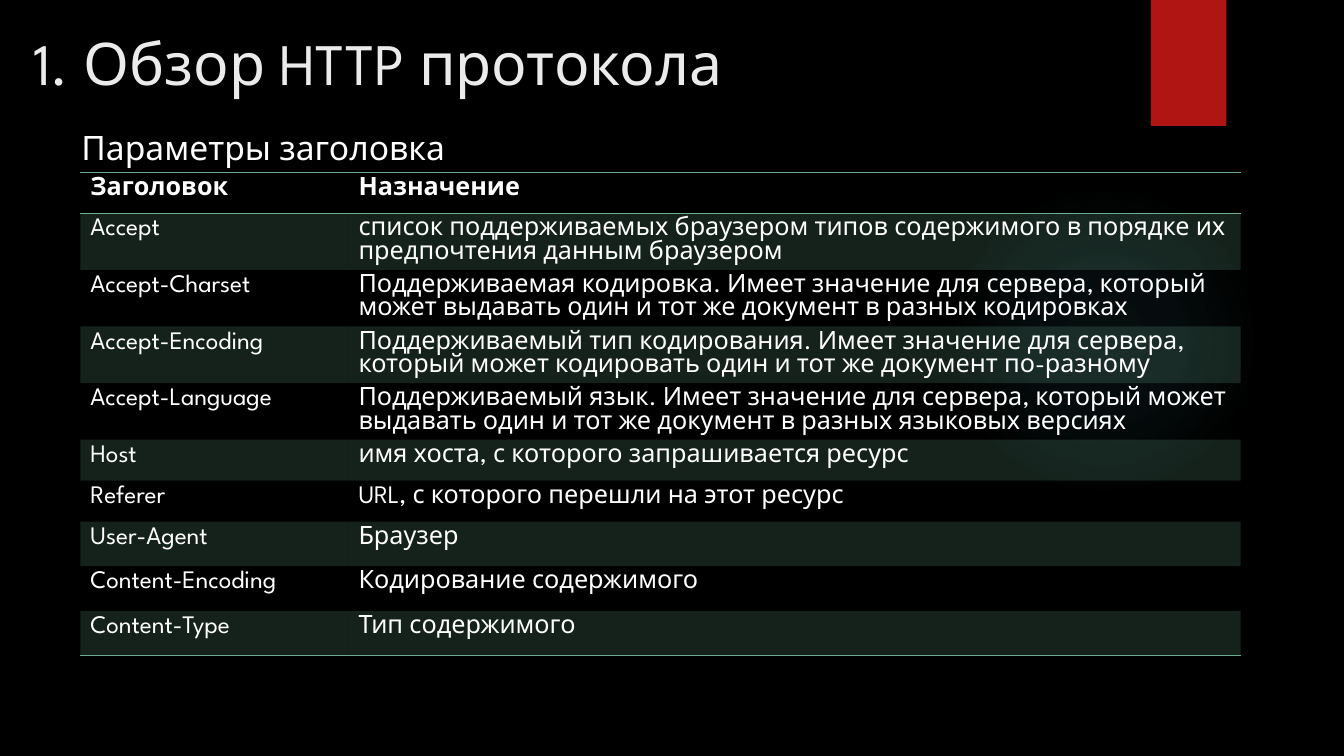
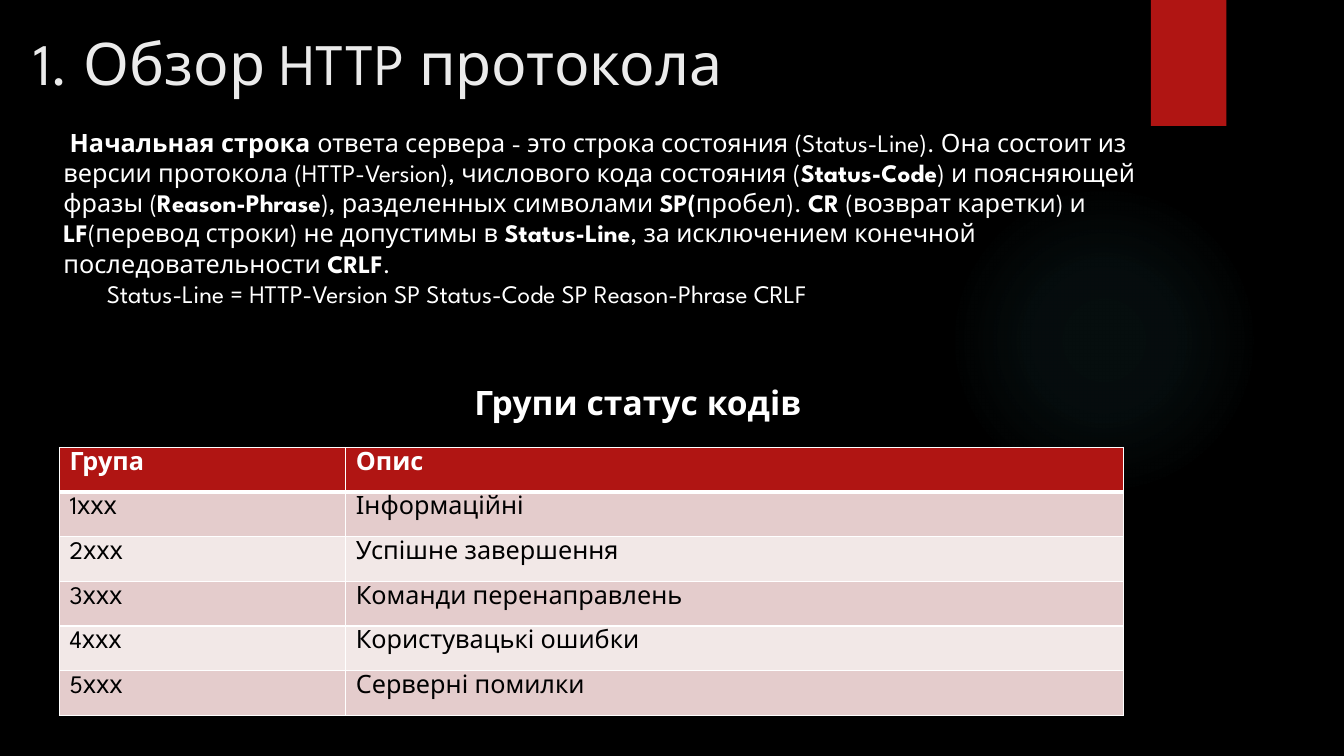
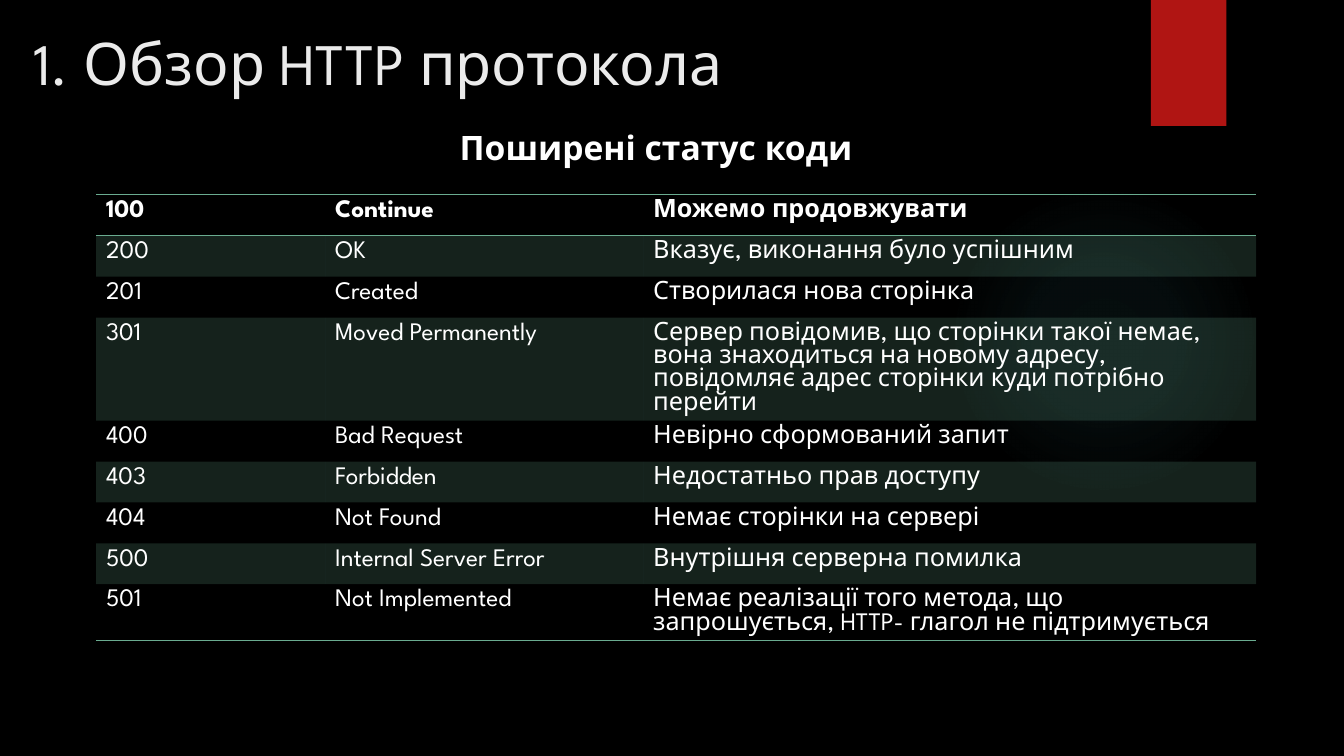
from lxml.etree import SubElement
from pptx import Presentation
from pptx.dml.color import RGBColor
from pptx.enum.shapes import MSO_SHAPE
from pptx.enum.text import PP_ALIGN
from pptx.oxml import parse_xml
from pptx.oxml.ns import nsdecls, qn
from pptx.util import Pt

FONT = "League Spartan"
BLACK, WHITE, PALE = "000000", "FFFFFF", "EBEBEB"
RED, GREEN, GLOW = "B01513", "6AAC90", "50B9C1"
ROSE, BLUSH = "E4CCCC", "F2E8E7"
TITLE = "1. Обзор HTTP протокола"
PLAIN = "{2D5ABB26-0587-4C30-8999-92F81FD0307C}"


def tint(hue):
    """Turn a hex string into a colour."""
    return RGBColor.from_string(hue)


def write(frame, text, size=18, hue=WHITE, bold=False, align=PP_ALIGN.LEFT,
          space=None, indents=()):
    """Fill a frame, one paragraph a line, with ** switching bold."""
    frame.word_wrap = True
    for num, line in enumerate(text.split("\n")):
        para = frame.add_paragraph() if num else frame.paragraphs[0]
        para.alignment = align
        para.line_spacing = space
        if indents:
            para._p.get_or_add_pPr().set("indent", str(Pt(indents[num])))
        for part, words in enumerate(line.split("**")):
            if words:
                run = para.add_run()
                run.text = words
                run.font.name = FONT
                run.font.size = Pt(size)
                run.font.bold = bold or part % 2 == 1
                run.font.color.rgb = tint(hue)


def label(slide, box, text, **form):
    """Place a text box."""
    write(slide.shapes.add_textbox(*map(Pt, box)).text_frame, text, **form)


def block(slide, kind, box, hue):
    """Place a filled shape without an outline."""
    shape = slide.shapes.add_shape(kind, *map(Pt, box))
    shape.shadow.inherit = False
    shape.fill.solid()
    shape.fill.fore_color.rgb = tint(hue)
    shape.line.fill.background()
    return shape


def glow(slide, box):
    """Place a soft round light."""
    shape = block(slide, MSO_SHAPE.OVAL, box, GLOW)
    stops = "".join(
        f'<a:gs pos="{pos * 1000}"><a:srgbClr val="{GLOW}">'
        f'<a:alpha val="{alpha * 1000}"/></a:srgbClr></a:gs>'
        for pos, alpha in ((0, 7), (36, 6), (69, 0), (100, 0)))
    grad = parse_xml(
        f'<a:gradFill {nsdecls("a")}><a:gsLst>{stops}</a:gsLst>'
        '<a:path path="circle"><a:fillToRect l="50000" t="50000" '
        'r="50000" b="50000"/></a:path></a:gradFill>')
    props = shape._element.spPr
    props.replace(props.find(qn("a:solidFill")), grad)


def base(deck):
    """Add a slide with the shared backdrop, tab and title."""
    slide = deck.slides.add_slide(deck.slide_layouts[6])
    slide.background.fill.solid()
    slide.background.fill.fore_color.rgb = tint(BLACK)
    glow(slide, (677.5, 131.8, 221.8, 221.8))
    block(slide, MSO_SHAPE.RECTANGLE, (822, 0, 54, 90), RED)
    label(slide, (16.6, 15.8, 803.5, 72), TITLE, size=42, hue=PALE)
    return slide


def edge(cell, side, hue, width):
    """Draw one border of a cell."""
    line = SubElement(cell._tc.get_or_add_tcPr(), qn("a:ln" + side),
                      w=str(Pt(width)))
    fill = SubElement(line, qn("a:solidFill"))
    SubElement(fill, qn("a:srgbClr"), val=hue)


def paint(cell, hue, alpha=100):
    """Fill a cell, or clear it when no colour is given."""
    if hue is None:
        cell.fill.background()
        return
    cell.fill.solid()
    cell.fill.fore_color.rgb = tint(hue)
    if alpha < 100:
        shade = cell._tc.tcPr.find(qn("a:solidFill"))[0]
        SubElement(shade, qn("a:alpha"), val=str(alpha * 1000))


def lined(cell, row, last):
    """Style a cell of a dark table with green rules; give its text colour."""
    if row == 0:
        edge(cell, "T", GREEN, 1)
    if row in (0, last):
        edge(cell, "B", GREEN, 1)
    paint(cell, GREEN if row % 2 else None, 20)
    return WHITE


def boxed(cell, row, last):
    """Style a cell of a light table with a white grid; give its text colour."""
    for side in "LR":
        edge(cell, side, WHITE, 1)
    edge(cell, "T", WHITE, 3 if row == 1 else 1)
    edge(cell, "B", WHITE, 3 if row == 0 else 1)
    paint(cell, RED if row == 0 else ROSE if row % 2 else BLUSH)
    return BLACK if row else WHITE


def grid(slide, spot, cols, tall, rows, style):
    """Place a table with a bold first row."""
    left, top = spot
    frame = slide.shapes.add_table(
        len(rows), len(cols), Pt(left), Pt(top), Pt(sum(cols)), Pt(sum(tall)))
    table = frame.table
    table._tbl.tblPr.find(qn("a:tableStyleId")).text = PLAIN
    table.horz_banding = False
    for col, width in zip(table.columns, cols):
        col.width = Pt(width)
    for num, (high, texts) in enumerate(zip(tall, rows)):
        table.rows[num].height = Pt(high)
        for cell, text in zip(table.rows[num].cells, texts):
            hue = style(cell, num, len(rows) - 1)
            write(cell.text_frame, text, hue=hue, bold=num == 0,
                  space=Pt(16.6))


def heads(deck):
    """Build the slide of header fields."""
    slide = base(deck)
    label(slide, (51.1, 87.1, 835.2, 36), "Параметры заголовка", size=24)
    rows = [
        ("Заголовок", "Назначение"),
        ("Accept", "список поддерживаемых браузером типов содержимого "
         "в порядке их предпочтения данным браузером"),
        ("Accept-Charset", "Поддерживаемая кодировка. Имеет значение для "
         "сервера, который может выдавать один и тот же документ в разных "
         "кодировках"),
        ("Accept-Encoding", "Поддерживаемый тип кодирования. Имеет значение "
         "для сервера, который может кодировать один и тот же документ "
         "по-разному"),
        ("Accept-Language", "Поддерживаемый язык. Имеет значение для "
         "сервера, который может выдавать один и тот же документ в разных "
         "языковых версиях"),
        ("Host", "имя хоста, с которого запрашивается ресурс"),
        ("Referer", "URL, с которого перешли на этот ресурс"),
        ("User-Agent", "Браузер"),
        ("Content-Encoding", "Кодирование содержимого"),
        ("Content-Type", "Тип содержимого"),
    ]
    grid(slide, (57.4, 123.1), (191.5, 637.2), [29.2] * 7 + [31.9] * 3,
         rows, lined)


def groups(deck):
    """Build the slide of the status line and code groups."""
    slide = base(deck)
    label(slide, (38.2, 269.3, 835.2, 38.9), "Групи статус кодів",
          size=24, bold=True, align=PP_ALIGN.CENTER)
    rows = [
        ("Група", "Опис"),
        ("1ххх", "Інформаційні"),
        ("2ххх", "Успішне завершення"),
        ("3ххх", "Команди перенаправлень"),
        ("4ххх", "Користувацькі ошибки"),
        ("5ххх", "Серверні помилки"),
    ]
    grid(slide, (42.5, 319.6), (204.5, 555.8), [31.9] * 6, rows, boxed)
    label(slide, (38.2, 87.1, 835.2, 138.2),
          "**Начальная строка **ответа сервера - это строка состояния "
          "(Status-Line). Она состоит из версии протокола (HTTP-Version), "
          "числового кода состояния (**Status-Code**) и поясняющей фразы "
          "(**Reason-Phrase**), разделенных символами **SP(**пробел). **CR** "
          "(возврат каретки) и **LF**(перевод строки) не допустимы в "
          "**Status-Line**, за исключением конечной последовательности "
          "**CRLF**.\n"
          "Status-Line = HTTP-Version SP Status-Code SP Reason-Phrase CRLF",
          indents=(4.5, 31))


def codes(deck):
    """Build the slide of common status codes."""
    slide = base(deck)
    label(slide, (51.1, 87.1, 835.2, 38.9), "Поширені статус коди",
          size=24, bold=True, align=PP_ALIGN.CENTER)
    rows = [
        ("100", "Continue", "Можемо продовжувати"),
        ("200", "OK", "Вказує, виконання було успішним"),
        ("201", "Created", "Створилася нова сторінка"),
        ("301", "Moved Permanently", "Сервер повідомив, що сторінки такої "
         "немає, вона знаходиться на новому адресу, повідомляє адрес "
         "сторінки куди потрібно перейти"),
        ("400", "Bad Request", "Невірно сформований запит"),
        ("403", "Forbidden", "Недостатньо прав доступу"),
        ("404", "Not Found", "Немає сторінки на сервері"),
        ("500", "Internal Server Error", "Внутрішня серверна помилка"),
        ("501", "Not Implemented", "Немає реалізації того метода, що "
         "запрошується, HTTP- глагол не підтримується"),
    ]
    grid(slide, (68.6, 139.2), (163.6, 227.2, 437.9), [29.2] * 9,
         rows, lined)


def main():
    """Build and save the deck."""
    deck = Presentation()
    deck.slide_width, deck.slide_height = Pt(960), Pt(540)
    for make in (heads, groups, codes):
        make(deck)
    deck.save("out.pptx")


main()
